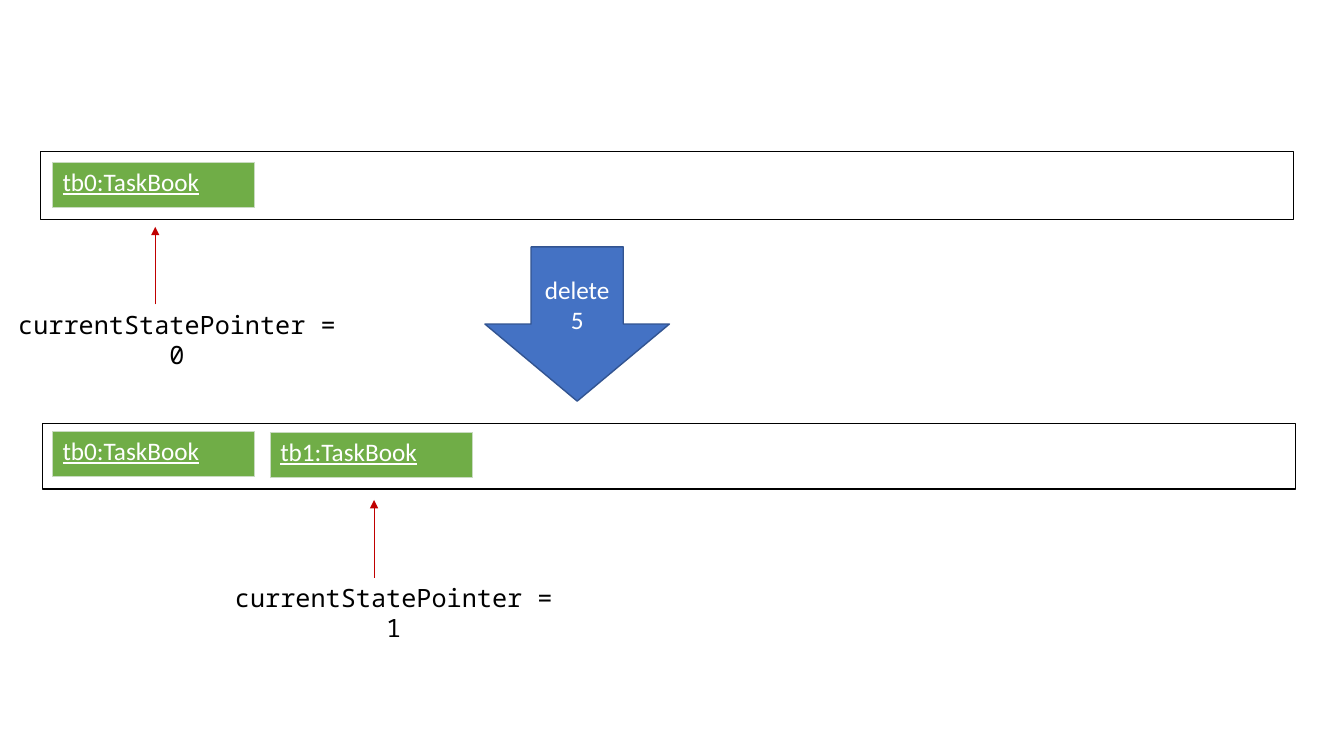
from lxml.etree import SubElement
from pptx import Presentation
from pptx.dml.color import RGBColor
from pptx.enum.shapes import MSO_CONNECTOR, MSO_SHAPE
from pptx.enum.text import MSO_ANCHOR, MSO_AUTO_SIZE, PP_ALIGN
from pptx.oxml import parse_xml
from pptx.oxml.ns import nsdecls, qn
from pptx.util import Inches, Pt

BLACK = RGBColor(0, 0, 0)
WHITE = RGBColor(255, 255, 255)
GREEN = RGBColor(0x70, 0xAD, 0x47)
PALE_GREEN = RGBColor(0xC9, 0xDB, 0xC1)
BLUE = RGBColor(0x44, 0x72, 0xC4)
DARK_BLUE = RGBColor(0x32, 0x54, 0x91)
RED = RGBColor(0xC0, 0, 0)

# Each state: frame (left, top, height), top of each task book, pointer index and tip
STATES = [
    {"frame": (0.4, 1.5, 0.68), "books": [("tb0:TaskBook", 1.61)],
     "pointer": 0, "tip": 2.25},
    {"frame": (0.42, 4.2, 0.65),
     "books": [("tb0:TaskBook", 4.28), ("tb1:TaskBook", 4.29)],
     "pointer": 1, "tip": 4.96},
]
COMMAND = ("delete 5", (4.81, 2.45, 1.83, 1.53))

FRAME_W = 12.43
BOOK_LEFT, BOOK_W, BOOK_H, BOOK_STEP = 0.52, 2, 0.45, 2.16
POINTER_X, POINTER_LEN, POINTER_STEP = 1.54, 0.77, 2.17
LABEL_W, LABEL_H, LABEL_STEP = 3.51, 0.4, 2.15


def box(*lengths):
    """Convert inches to slide lengths."""
    return [Inches(v) for v in lengths]


def write(tf, text, font="Calibri", color=WHITE, align=None, underline=None):
    """Put one formatted 18 pt run into a text frame."""
    tf.word_wrap = True
    p = tf.paragraphs[0]
    p.alignment = align
    r = p.add_run()
    r.text = text
    r.font.name, r.font.size = font, Pt(18)
    r.font.color.rgb = color
    r.font.underline = underline


def add_outline(kind, bounds, line, fill=None):
    """Add a preset shape with a 1 pt outline and an optional fill."""
    sp = slide.shapes.add_shape(kind, *box(*bounds))
    sp.shadow.inherit = False
    sp.line.color.rgb, sp.line.width = line, Pt(1)
    if fill is None:
        sp.fill.background()
    else:
        sp.fill.solid()
        sp.fill.fore_color.rgb = fill
    return sp


def add_book(text, column, top):
    """Add a task book as a one-cell table."""
    left = BOOK_LEFT + column * BOOK_STEP
    table = slide.shapes.add_table(1, 1, *box(left, top, BOOK_W, BOOK_H)).table
    cell = table.cell(0, 0)
    cell.fill.solid()
    cell.fill.fore_color.rgb = GREEN
    write(cell.text_frame, text, underline=True)
    for i, side in enumerate(("lnL", "lnR", "lnT", "lnB")):
        border = parse_xml(
            f'<a:{side} {nsdecls("a")} w="{Pt(0.5)}"><a:solidFill>'
            f'<a:srgbClr val="{PALE_GREEN}"/></a:solidFill></a:{side}>')
        cell.fill._xPr.insert(i, border)


def add_pointer(index, tip):
    """Add the arrow to the current state and the label beneath it."""
    x, base = POINTER_X + index * POINTER_STEP, tip + POINTER_LEN
    arrow = slide.shapes.add_connector(MSO_CONNECTOR.STRAIGHT,
                                       *box(x, base, x, tip))
    arrow.line.color.rgb, arrow.line.width = RED, Pt(0.5)
    SubElement(arrow.line._get_or_add_ln(), qn("a:tailEnd"), type="triangle")
    SubElement(arrow._element.spPr, qn("a:effectLst"))

    label = slide.shapes.add_textbox(
        *box(index * LABEL_STEP, base, LABEL_W, LABEL_H))
    label.text_frame.auto_size = MSO_AUTO_SIZE.SHAPE_TO_FIT_TEXT
    write(label.text_frame, f"currentStatePointer = {index}",
          font="Noto Sans Mono", color=BLACK, align=PP_ALIGN.CENTER)


prs = Presentation()
prs.slide_width, prs.slide_height = box(13.33, 7.5)
slide = prs.slides.add_slide(prs.slide_layouts[6])

for state in STATES:
    left, top, height = state["frame"]
    add_outline(MSO_SHAPE.RECTANGLE, (left, top, FRAME_W, height), BLACK)
    for column, (text, book_top) in enumerate(state["books"]):
        add_book(text, column, book_top)
    add_pointer(state["pointer"], state["tip"])

command, bounds = COMMAND
sp = add_outline(MSO_SHAPE.DOWN_ARROW, bounds, DARK_BLUE, BLUE)
sp.text_frame.vertical_anchor = MSO_ANCHOR.MIDDLE
write(sp.text_frame, command, align=PP_ALIGN.CENTER)

prs.save("out.pptx")
